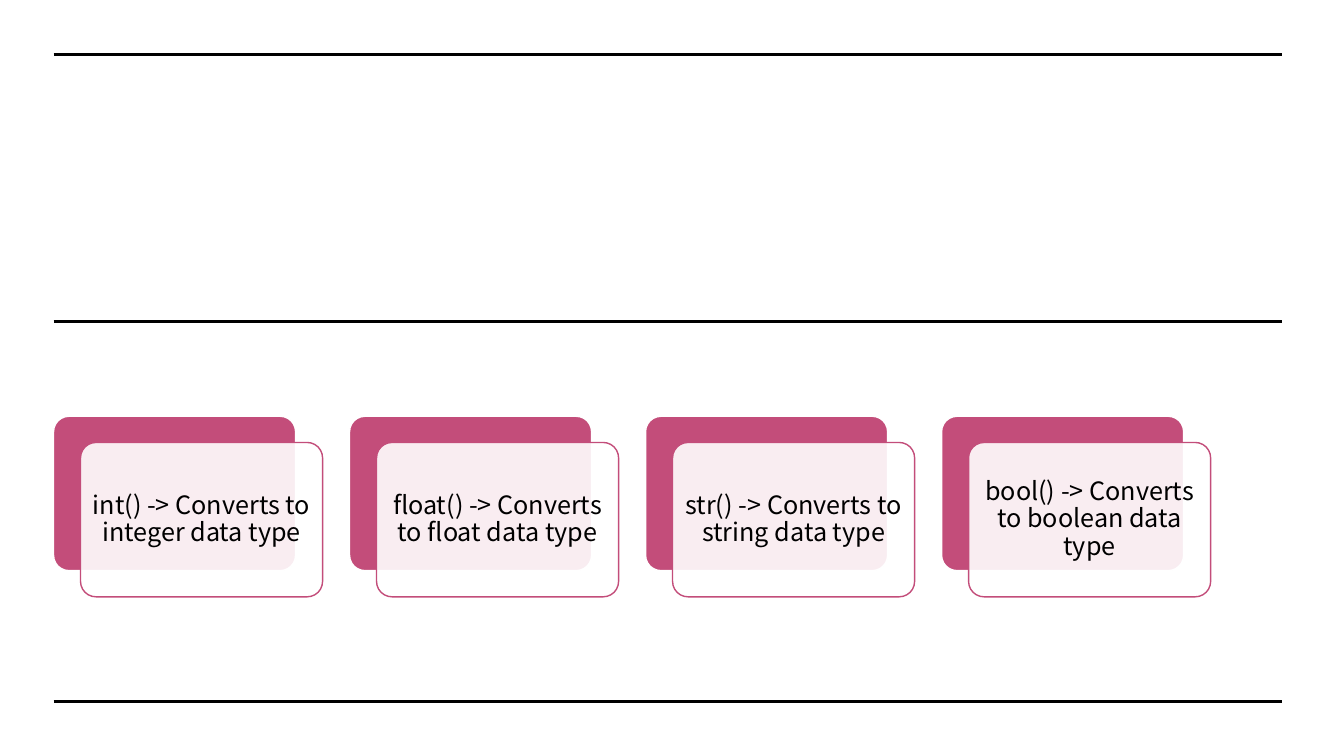
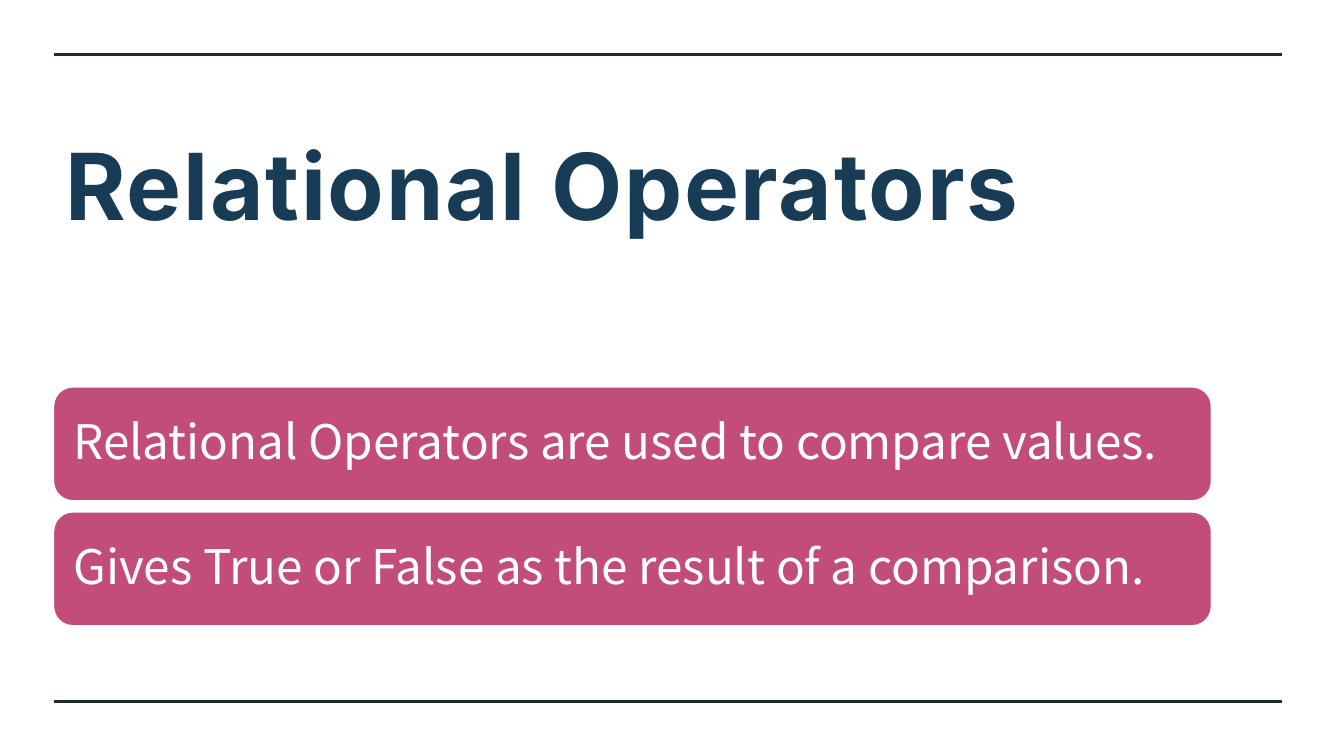
"""Build two slides on type conversion and relational operators."""
from dataclasses import dataclass

from lxml.etree import SubElement
from pptx import Presentation
from pptx.dml.color import RGBColor
from pptx.enum.shapes import MSO_AUTO_SHAPE_TYPE as ShapeType, MSO_CONNECTOR as Connector
from pptx.enum.text import MSO_ANCHOR as Anchor, PP_ALIGN as Align
from pptx.oxml.ns import qn
from pptx.shapes.autoshape import Shape
from pptx.slide import Slide
from pptx.text.text import TextFrame
from pptx.util import Cm, Pt

COLORS = {
    "black": "000000",
    "white": "FFFFFF",
    "rule": "1B3022",
    "title": "183B56",
    "pink": "C34D7A",
}
TITLE_FONT = "Inter"
BODY_FONT = "Noto Sans CJK JP"
LEFT = 1.35
RULE_RIGHT = 32.31
TOP_RULE, MIDDLE_RULE, BOTTOM_RULE = 1.37, 8.1, 17.68
CARD_STEP = 7.46
BAR_STEP = 3.15


@dataclass(frozen=True)
class Box:
    left: float
    top: float
    width: float
    height: float

    def moved(self, right: float = 0, down: float = 0) -> "Box":
        return Box(self.left + right, self.top + down, self.width, self.height)

    def lengths(self) -> tuple[Cm, Cm, Cm, Cm]:
        return Cm(self.left), Cm(self.top), Cm(self.width), Cm(self.height)


TITLE_BOX = Box(LEFT, 2.72, 29.54, 5.99)
CARD_BOX = Box(LEFT, 10.49, 6.1, 3.89)
BAR_BOX = Box(LEFT, 9.75, 29.18, 2.87)
CONVERSIONS = (
    "int()\u00a0-> Converts to integer data type",
    "float() -> Converts to float data type",
    "str()\u00a0-> Converts to string data type",
    "bool() -> Converts to boolean data type",
)
STATEMENTS = (
    "Relational Operators are used to compare values.",
    "Gives True or False as the result of a comparison.",
)


def color(name: str) -> RGBColor:
    return RGBColor.from_string(COLORS[name])


def write(frame: TextFrame, text: str, *, size: float, fill: str,
          inset: float, bottom: float | None = None, font: str = BODY_FONT,
          bold: bool = False, align: Align = Align.LEFT,
          line_spacing: float = 0.9, tracking: float = 0) -> None:
    frame.word_wrap = True
    frame.vertical_anchor = Anchor.MIDDLE
    frame.margin_left = frame.margin_right = frame.margin_top = Cm(inset)
    frame.margin_bottom = Cm(inset if bottom is None else bottom)
    paragraph = frame.paragraphs[0]
    paragraph.alignment = align
    paragraph.line_spacing = line_spacing
    run = paragraph.add_run()
    run.text = text
    run.font.name = font
    run.font.size = Pt(size)
    run.font.bold = bold
    run.font.color.rgb = color(fill)
    if tracking:
        run.font._element.set("spc", str(round(tracking * 100)))


def add_rule(slide: Slide, top: float, stroke: str) -> None:
    rule = slide.shapes.add_connector(
        Connector.STRAIGHT, Cm(LEFT), Cm(top), Cm(RULE_RIGHT), Cm(top))
    rule.line.color.rgb = color(stroke)
    rule.line.width = Pt(2.25)
    SubElement(rule._element.spPr, qn("a:effectLst"))


def add_panel(slide: Slide, box: Box, *, fill: str, stroke: str,
              corner: float = 0.17, opacity: int = 100) -> Shape:
    panel = slide.shapes.add_shape(ShapeType.ROUNDED_RECTANGLE, *box.lengths())
    panel.shadow.inherit = False
    panel.adjustments[0] = corner
    panel.fill.solid()
    panel.fill.fore_color.rgb = color(fill)
    panel.line.color.rgb = color(stroke)
    panel.line.width = Pt(1)
    if opacity < 100:
        fill_color = panel._element.spPr.find(qn("a:solidFill"))[0]
        SubElement(fill_color, qn("a:alpha"), val=str(opacity * 1000))
    return panel


def add_title(slide: Slide, text: str) -> None:
    title = slide.shapes.add_textbox(*TITLE_BOX.lengths())
    write(title.text_frame, text, size=66, fill="title", inset=0.3, bottom=2.74,
          font=TITLE_FONT, bold=True, line_spacing=1.1, tracking=1.3)


def add_card(slide: Slide, box: Box, text: str) -> None:
    add_panel(slide, box, fill="pink", stroke="white", corner=0.1)
    front = add_panel(slide, box.moved(right=0.68, down=0.66), fill="white",
                      stroke="pink", corner=0.1, opacity=90)
    write(front.text_frame, text, size=18, fill="black", inset=0.18,
          align=Align.CENTER)


def add_bar(slide: Slide, box: Box, text: str) -> None:
    bar = add_panel(slide, box, fill="pink", stroke="white")
    write(bar.text_frame, text, size=34, fill="white", inset=0.36)


def new_slide(presentation: Presentation, rule_color: str) -> Slide:
    slide = presentation.slides.add_slide(presentation.slide_layouts[6])
    for top in (TOP_RULE, BOTTOM_RULE):
        add_rule(slide, top, rule_color)
    return slide


def build_conversions(presentation: Presentation) -> None:
    slide = new_slide(presentation, "black")
    add_rule(slide, MIDDLE_RULE, "black")
    for index, text in enumerate(CONVERSIONS):
        add_card(slide, CARD_BOX.moved(right=index * CARD_STEP), text)


def build_operators(presentation: Presentation) -> None:
    slide = new_slide(presentation, "rule")
    add_title(slide, "Relational Operators")
    for index, text in enumerate(STATEMENTS):
        add_bar(slide, BAR_BOX.moved(down=index * BAR_STEP), text)


def main() -> None:
    presentation = Presentation()
    presentation.slide_width = Cm(33.87)
    presentation.slide_height = Cm(19.05)
    build_conversions(presentation)
    build_operators(presentation)
    presentation.save("out.pptx")


main()
